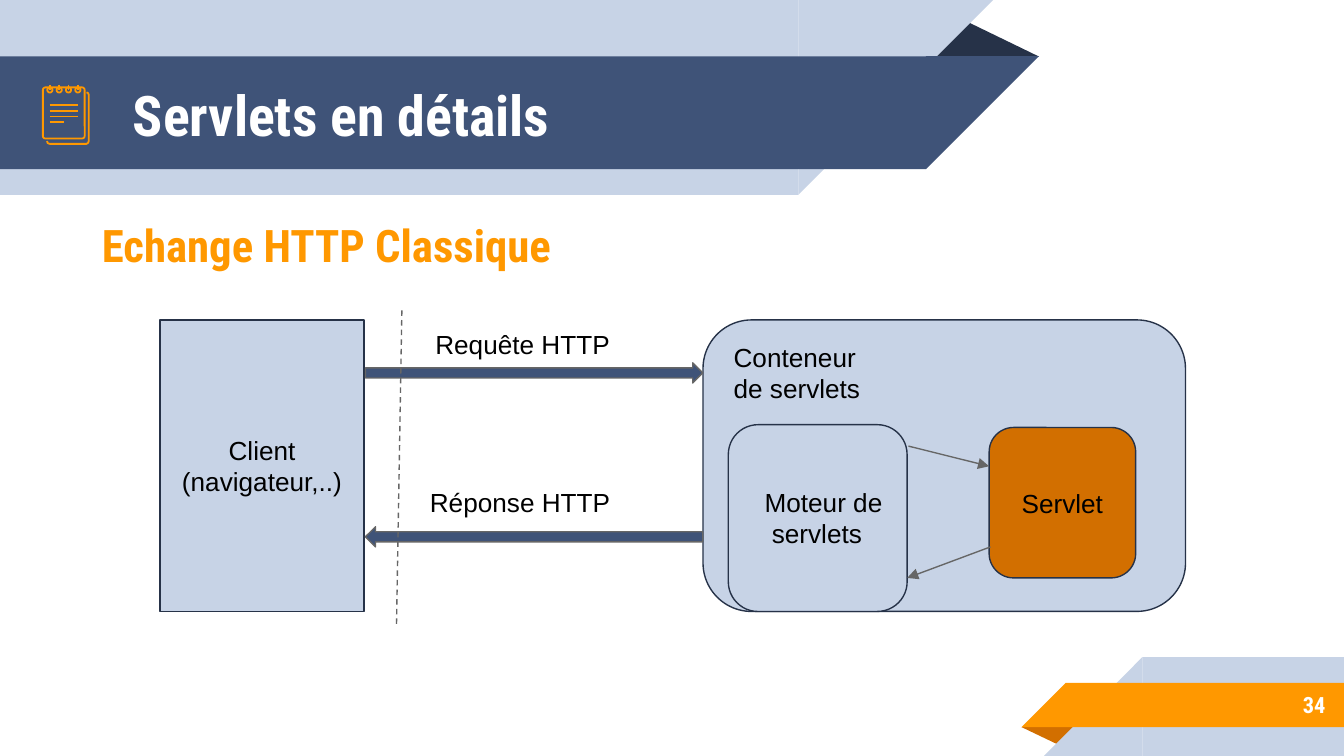
from pptx import Presentation
from pptx.util import Pt
from pptx.dml.color import RGBColor
from pptx.enum.dml import MSO_LINE as Dash
from pptx.enum.shapes import MSO_SHAPE as Kind, MSO_CONNECTOR as Link
from pptx.enum.text import PP_ALIGN as Align, MSO_ANCHOR as Anchor
from pptx.oxml.ns import qn
from lxml.etree import SubElement

LIGHT, BLUE, NAVY = "C7D3E6", "3F5378", "263248"
GOLD, RUST, GREY = "FF9800", "D26F00", "666666"
WHITE, BLACK = "FFFFFF", "000000"
HEAD, BODY = "Roboto Condensed", "Arial"

BANDS = [
    (Kind.ISOSCELES_TRIANGLE, (495.4, 10.1, 61.2, 20.2), NAVY, ""),
    (Kind.RECTANGLE, (0, 0, 427.7, 104.4), LIGHT, ""),
    (Kind.RIGHT_TRIANGLE, (427.7, 0, 104.4, 104.4), LIGHT, "flipV"),
    (Kind.RECTANGLE, (0, 30.2, 496.1, 60.5), BLUE, ""),
    (Kind.RIGHT_TRIANGLE, (496.1, 30.2, 60.5, 60.5), BLUE, "flipV"),
    (Kind.ISOSCELES_TRIANGLE, (547.2, 389.5, 31, 10.1), RUST, "rot"),
    (Kind.RECTANGLE, (612, 352.1, 108, 52.9), LIGHT, ""),
    (Kind.RIGHT_TRIANGLE, (559.4, 352.1, 52.6, 52.9), LIGHT, "flipH"),
    (Kind.RECTANGLE, (571, 365.8, 149, 23.8), GOLD, ""),
    (Kind.RIGHT_TRIANGLE, (547.2, 365.8, 23.8, 23.8), GOLD, "flipH"),
]
SHEET = [(25.2, 75.6), (25.6, 76.7), (26.6, 77.1), (46.4, 77.1),
         (47.2, 76.6), (47.6, 75.6), (47.6, 50.8), (47.2, 49.9), (46.4, 49.5)]
RULES = [15.1, 15.1, 15.1, 7.9]
BOXES = [
    (Kind.RECTANGLE, (85.7, 171.4, 109.4, 156.2), LIGHT, "Client (navigateur,..)"),
    (Kind.ROUNDED_RECTANGLE, (376.6, 171.4, 258.5, 156.2), LIGHT, ""),
    (Kind.ROUNDED_RECTANGLE, (390.2, 227.5, 95.8, 100.1), LIGHT, ""),
    (Kind.ROUNDED_RECTANGLE, (529.9, 229, 78.5, 80.6), RUST, "Servlet"),
]
LABELS = [
    (["Conteneur de servlets"], (385.9, 175.7, 92.2, 43.2)),
    (["Moteur de", " servlets"], (402.5, 253.4, 92.2, 56.2)),
    (["Requête HTTP"], (226.1, 168.5, 109.4, 56.2)),
    (["Réponse HTTP"], (223.2, 253.4, 117.4, 56.2)),
]
CALLS = [(486.7, 239, 529.9, 249.8), (530.6, 293, 486, 309.6)]
ARROWS = [(194.4, ""), (282.2, "flipH")]

deck = Presentation()
deck.slide_width, deck.slide_height = Pt(720), Pt(405)
slide = deck.slides.add_slide(deck.slide_layouts[6])
shapes = slide.shapes


def tint(code):
    return RGBColor.from_string(code)


def paint(shape, fill, edge, width=0.75):
    shape.shadow.inherit = False
    if fill:
        shape.fill.solid()
        shape.fill.fore_color.rgb = tint(fill)
    else:
        shape.fill.background()
    if edge:
        shape.line.color.rgb = tint(edge)
        shape.line.width = Pt(width)
    else:
        shape.line.fill.background()


def draw(kind, area, fill, edge=None, turn="", width=0.75):
    shape = shapes.add_shape(kind, *map(Pt, area))
    paint(shape, fill, edge, width)
    if turn == "rot":
        shape.rotation = 180
    elif turn:
        shape._element.spPr.find(qn("a:xfrm")).set(turn, "1")
    return shape


def write(shape, lines, size=14, face=BODY, color=BLACK, bold=False,
          align=Align.LEFT, anchor=Anchor.TOP, before=0):
    frame = shape.text_frame
    frame.word_wrap = True
    frame.vertical_anchor = anchor
    frame.margin_left = frame.margin_right = Pt(7.2)
    frame.margin_top = frame.margin_bottom = Pt(7.2)
    for i, line in enumerate(lines):
        para = frame.add_paragraph() if i else frame.paragraphs[0]
        para.text = line
        para.alignment = align
        para.space_before = Pt(before)
        font = para.font
        font.size, font.name, font.bold = Pt(size), face, bold
        font.color.rgb = tint(color)


def label(lines, area, **style):
    write(shapes.add_textbox(*map(Pt, area)), lines, **style)


def link(ends, color=GREY, width=0.75, tip=False):
    line = shapes.add_connector(Link.STRAIGHT, *map(Pt, ends))
    line.line.color.rgb = tint(color)
    line.line.width = Pt(width)
    if tip:
        SubElement(line.line._get_or_add_ln(), qn("a:tailEnd"), type="triangle")
    SubElement(line._element.spPr, qn("a:effectLst"))
    return line


def notepad():
    spots = [(Pt(x), Pt(y)) for x, y in SHEET]
    path = shapes.build_freeform(*spots[0])
    path.add_line_segments(spots[1:], close=False)
    paint(path.convert_to_shape(), None, GOLD, 0.96)
    pad = draw(Kind.ROUNDED_RECTANGLE, (23, 46.8, 22.4, 27.4), None, GOLD, width=0.96)
    pad.adjustments[0] = 0.06
    for i, wide in enumerate(RULES):
        y = 56.2 + 3.1 * i
        link((26.6, y, 26.6 + wide, y), GOLD, 0.96)
    for i in range(4):
        x = 26.7 + 5 * i
        draw(Kind.OVAL, (x - 1.4, 46.8, 2.8, 2.8), None, GOLD, width=0.96)
        link((x, 45.4, x, 48.2), GOLD, 0.96)


for kind, area, fill, turn in BANDS:
    band = draw(kind, area, fill, turn=turn)
    if kind == Kind.ISOSCELES_TRIANGLE:
        band.adjustments[0] = 0.32

label(["Servlets en détails"], (64.1, 31, 414, 60.5), size=30, face=HEAD,
      color=WHITE, bold=True, anchor=Anchor.MIDDLE)
label(["34"], (599.8, 365, 117.4, 25.2), size=12, face=HEAD, color=WHITE,
      bold=True, align=Align.RIGHT, anchor=Anchor.MIDDLE)
notepad()
label(["Echange HTTP Classique"], (47.5, 109.4, 646.6, 255.6), size=24,
      face=HEAD, color=GOLD, bold=True, before=6)

for kind, area, fill, text in BOXES:
    box = draw(kind, area, fill, NAVY)
    if text:
        write(box, [text], align=Align.CENTER, anchor=Anchor.MIDDLE)
for lines, area in LABELS:
    label(lines, area)
for ends in CALLS:
    link(ends, tip=True)
for y, turn in ARROWS:
    draw(Kind.RIGHT_ARROW, (195.8, y, 180.7, 10.8), BLUE, GREY, turn)
link((215.3, 166.3, 212.4, 335.5)).line.dash_style = Dash.DASH

deck.save("out.pptx")
